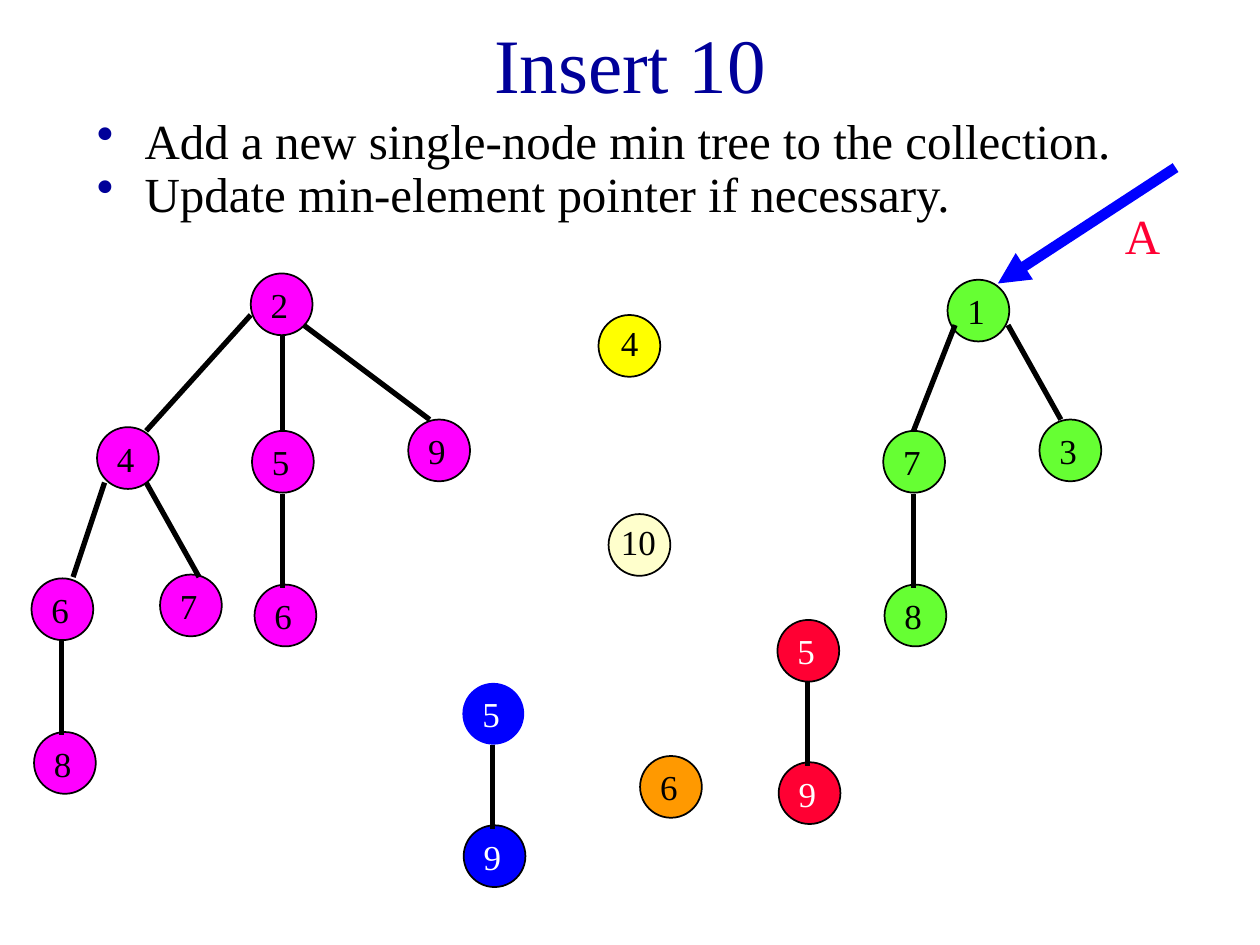
from pptx import Presentation
from pptx.dml.color import RGBColor
from pptx.enum.shapes import MSO_CONNECTOR, MSO_SHAPE
from pptx.enum.text import MSO_ANCHOR, PP_ALIGN
from pptx.oxml.ns import qn
from pptx.util import Pt
from lxml.etree import SubElement

OVAL = MSO_SHAPE.OVAL
STRAIGHT = MSO_CONNECTOR.STRAIGHT
TOP, MIDDLE = MSO_ANCHOR.TOP, MSO_ANCHOR.MIDDLE
LEFT, CENTER = PP_ALIGN.LEFT, PP_ALIGN.CENTER

SCALE = 9144  # EMU per px, 100 px to the inch
NODE = 49     # node diameter


class Theme:
    font = "Times New Roman"
    navy, black, white = "000099", "000000", "FFFFFF"
    pink, green, yellow, cream = "FF00FF", "66FF33", "FFFF00", "FFFFCC"
    orange, red, blue = "FF9900", "FF0033", "0000FF"
    title, body, label = 44, 28, 20
    rim, edge, arrow = 1, 3, 6


def emu(*px):
    return [n * SCALE for n in px]


def rgb(code):
    return RGBColor.from_string(code)


def apply(target, **values):
    for name, value in values.items():
        setattr(target, name, value)


def add_text(slide, box, text, size, color, align=LEFT, anchor=TOP,
             wrap=True, bullet=None):
    frame = slide.shapes.add_textbox(*emu(*box)).text_frame
    apply(frame, word_wrap=wrap, vertical_anchor=anchor)
    para = frame.paragraphs[0]
    para.alignment = align
    if bullet:
        props = para._p.get_or_add_pPr()
        indent = 38 * SCALE
        props.set("marL", str(indent))
        props.set("indent", str(-indent))
        tint = SubElement(props, qn("a:buClr"))
        SubElement(tint, qn("a:srgbClr"), val=bullet)
        SubElement(props, qn("a:buChar"), char="•")
    run = para.add_run()
    run.text = text
    apply(run.font, name=Theme.font, size=Pt(size))
    run.font.color.rgb = rgb(color)


def add_line(slide, ends, color, width, head=False):
    line = slide.shapes.add_connector(STRAIGHT, *emu(*ends))
    line.line.color.rgb = rgb(color)
    line.line.width = Pt(width)
    if head:
        SubElement(line.line._get_or_add_ln(), qn("a:tailEnd"), type="triangle")
    SubElement(line._element.spPr, qn("a:effectLst"))


def add_node(slide, x, y, text, fill, ink, rim=True, label=(6, 3, 34)):
    node = slide.shapes.add_shape(OVAL, *emu(x, y, NODE, NODE))
    node.shadow.inherit = False
    node.fill.solid()
    node.fill.fore_color.rgb = rgb(fill)
    if rim:
        node.line.color.rgb = rgb(Theme.black)
        node.line.width = Pt(Theme.rim)
    else:
        node.line.fill.background()
    dx, dy, width = label
    add_text(slide, (x + dx, y + dy, width, 43), text, Theme.label, ink,
             wrap=False)


def add_tree(slide, left, top, nodes, edges, fill, ink=Theme.black,
             root_rim=True):
    """Nodes and edges are measured from the tree's top left corner."""
    for i, (x, y, text) in enumerate(nodes):
        add_node(slide, left + x, top + y, text, fill, ink, root_rim or i > 0)
    for x1, y1, x2, y2 in edges:
        add_line(slide, (left + x1, top + y1, left + x2, top + y2),
                 Theme.black, Theme.edge)


def add_header(slide, left, top, width):
    add_text(slide, (left, top, width, 100), "Insert 10", Theme.title,
             Theme.navy, CENTER, MIDDLE)
    points = ("Add a new single-node min tree to the collection.",
              "Update min-element pointer if necessary.")
    for i, point in enumerate(points):
        add_text(slide, (left - 8, top + 83 + 42 * i, width, 75), point,
                 Theme.body, Theme.black, bullet=Theme.navy)


def add_pointer(slide, left, top):
    add_line(slide, (left + 141, top, left, top + 92), Theme.blue,
             Theme.arrow, head=True)
    add_text(slide, (left + 91, top + 25, 100, 57), "A", Theme.body, Theme.red)


def add_forest(slide):
    # Single nodes
    add_node(slide, 483, 408, "10", Theme.cream, Theme.black, label=(0, 0, 48))
    add_node(slide, 508, 600, "6", Theme.orange, Theme.black)
    add_node(slide, 475, 250, "4", Theme.yellow, Theme.black, label=(8, 0, 34))

    # Two-node trees
    pair = [(0, 0, "5"), (1, 113, "9")]
    link = [(24, 49, 24, 116)]
    add_tree(slide, 617, 492, pair, link, Theme.red, Theme.white)
    add_tree(slide, 367, 542, pair, link, Theme.blue, Theme.white,
             root_rim=False)

    # Tree holding the minimum
    add_tree(slide, 701, 222,
             [(51, 0, "1"), (0, 120, "7"), (124, 111, "3"), (1, 242, "8")],
             [(24, 170, 24, 245), (57, 36, 24, 120), (99, 36, 141, 111)],
             Theme.green)

    # Largest tree
    add_tree(slide, 25, 217,
             [(174, 0, "2"), (175, 125, "5"), (299, 116, "9"),
              (177, 247, "6"), (52, 122, "4"), (0, 242, "6"),
              (102, 239, "7"), (2, 364, "8")],
             [(199, 175, 199, 250), (199, 50, 199, 125),
              (216, 41, 316, 116), (24, 291, 24, 366),
              (58, 166, 33, 241), (91, 166, 133, 241),
              (174, 33, 91, 125)],
             Theme.pink)


def main():
    deck = Presentation()
    width, height = emu(1000, 750)
    apply(deck, slide_width=width, slide_height=height)
    slide = deck.slides.add_slide(deck.slide_layouts[6])
    add_header(slide, 75, 0, 850)
    add_forest(slide)
    add_pointer(slide, 792, 133)
    deck.save("out.pptx")


if __name__ == "__main__":
    main()
